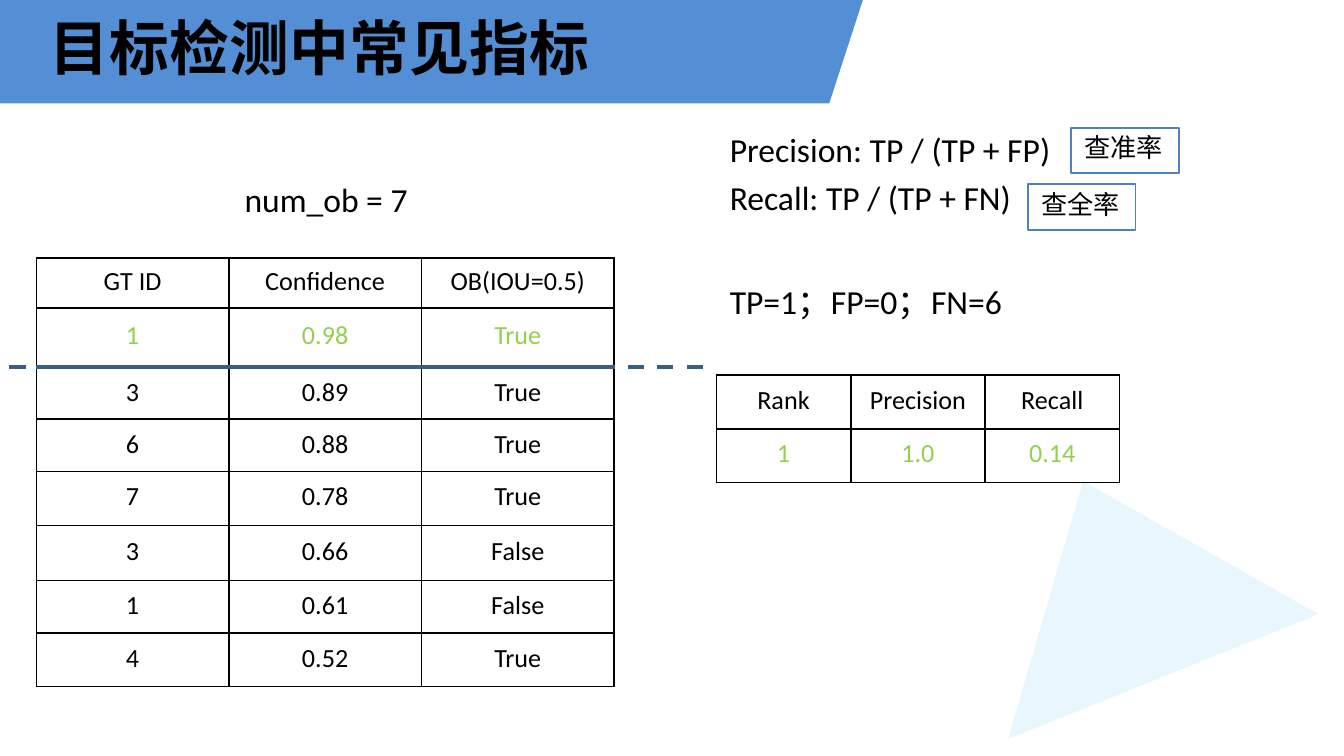
from dataclasses import dataclass
from typing import Any

import lxml.etree
import pptx
import pptx.dml.color
import pptx.enum.shapes
import pptx.enum.text
import pptx.oxml
import pptx.oxml.ns
import pptx.util

Inches = pptx.util.Inches
Pt = pptx.util.Pt
qn = pptx.oxml.ns.qn


@dataclass(frozen=True)
class Theme:
    banner: str = "548ED4"
    triangle: str = "00AFEF"
    frame: str = "4F81BC"
    cutoff: str = "385D89"
    ink: str = "000000"
    highlight: str = "92D050"
    latin: str = "Calibri"
    chinese: str = "Noto Sans CJK SC"
    heading: str = "Noto Sans CJK TC"
    heading_size: float = 32
    body_size: float = 18
    small_size: float = 14
    thin: float = 1
    thick: float = 2.25


THEME = Theme()


@dataclass(frozen=True)
class Run:
    text: str
    font: str = THEME.latin
    size: float = THEME.body_size
    color: str = THEME.ink
    bold: bool = False
    spacing: float = 0


@dataclass(frozen=True)
class Label:
    left: float
    top: float
    width: float
    height: float
    runs: tuple[Run, ...]


@dataclass(frozen=True)
class Grid:
    """A table whose row 1 is highlighted; top_margins holds one inset per row."""
    left: float
    top: float
    width: float
    row_heights: tuple[float, ...]
    top_margins: tuple[float, ...]
    rows: tuple[tuple[str, ...], ...]
    cutoff_after: int | None = None


def rgb(color: str) -> pptx.dml.color.RGBColor:
    return pptx.dml.color.RGBColor.from_string(color)


def set_values(target: Any, values: dict[str, Any]) -> None:
    for name, value in values.items():
        setattr(target, name, value)


def write_runs(paragraph: Any, runs: tuple[Run, ...]) -> None:
    for part in runs:
        run = paragraph.add_run()
        run.text = part.text
        set_values(run.font, {"name": part.font, "size": Pt(part.size), "bold": part.bold})
        run.font.color.rgb = rgb(part.color)
        properties = run.font._element
        lxml.etree.SubElement(properties, qn("a:ea")).set("typeface", part.font)
        if part.spacing:
            properties.set("spc", str(round(part.spacing * 100)))


def fill_label(shape: Any, label: Label) -> None:
    set_values(shape, {name: Inches(getattr(label, name))
                       for name in ("left", "top", "width", "height")})
    set_values(shape.text_frame, {
        "margin_left": Inches(0.01), "margin_top": Inches(0.01),
        "margin_right": 0, "margin_bottom": 0,
        "word_wrap": True, "auto_size": pptx.enum.text.MSO_AUTO_SIZE.NONE,
        "vertical_anchor": pptx.enum.text.MSO_ANCHOR.TOP})
    paragraph = shape.text_frame.paragraphs[0]
    set_values(paragraph, {"alignment": pptx.enum.text.PP_ALIGN.LEFT,
                           "space_before": Pt(1), "line_spacing": 1.0})
    write_runs(paragraph, label.runs)


def add_label(slide: Any, label: Label) -> None:
    fill_label(slide.shapes.add_textbox(0, 0, 0, 0), label)


def add_polygon(slide: Any, points: list[tuple[float, float]], color: str) -> Any:
    start, *others = [(Inches(x), Inches(y)) for x, y in points]
    builder = slide.shapes.build_freeform(*start)
    builder.add_line_segments(others, close=True)
    polygon = builder.convert_to_shape()
    polygon.shadow.inherit = False
    polygon.fill.solid()
    polygon.fill.fore_color.rgb = rgb(color)
    polygon.line.fill.background()
    return polygon


def add_framed_term(slide: Any, left: float, top: float, term: str) -> None:
    frame = slide.shapes.add_shape(pptx.enum.shapes.MSO_SHAPE.RECTANGLE,
                                   Inches(left), Inches(top), Inches(0.8), Inches(0.34))
    frame.shadow.inherit = False
    frame.fill.background()
    frame.line.color.rgb = rgb(THEME.frame)
    frame.line.width = Pt(THEME.thin)
    add_label(slide, Label(left + 0.09, top + 0.02, 0.61, 0.26,
                           (Run(term, THEME.chinese, THEME.small_size),)))


def add_dash(slide: Any, left: float, y: float) -> None:
    dash = slide.shapes.add_connector(pptx.enum.shapes.MSO_CONNECTOR.STRAIGHT, Inches(left),
                                      Inches(y), Inches(left + 0.12), Inches(y))
    dash.line.color.rgb = rgb(THEME.cutoff)
    dash.line.width = Pt(THEME.thick)
    lxml.etree.SubElement(dash.element.spPr, qn("a:effectLst"))


def border_cell(cell: Any, thick_edges: set[str]) -> None:
    """Draw four edges; they must precede the fill in the cell properties."""
    properties = cell._tc.get_or_add_tcPr()
    for position, edge in enumerate("LRTB"):
        color, width = ((THEME.cutoff, THEME.thick) if edge in thick_edges
                        else (THEME.ink, THEME.thin))
        line = lxml.etree.Element(qn(f"a:ln{edge}"), w=str(Pt(width)))
        solid = lxml.etree.SubElement(line, qn("a:solidFill"))
        lxml.etree.SubElement(solid, qn("a:srgbClr")).set("val", color)
        properties.insert(position, line)


def add_grid(slide: Any, grid: Grid) -> None:
    columns = len(grid.rows[0])
    table = slide.shapes.add_table(
        len(grid.rows), columns, Inches(grid.left), Inches(grid.top),
        Inches(grid.width), Inches(sum(grid.row_heights))).table
    set_values(table, {"first_row": False, "horz_banding": False})
    for r, values in enumerate(grid.rows):
        table.rows[r].height = Inches(grid.row_heights[r])
        thick_edges = set()
        if grid.cutoff_after is not None:
            thick_edges = {grid.cutoff_after: {"B"}, grid.cutoff_after + 1: {"T"}}.get(r, set())
        for c, value in enumerate(values):
            cell = table.cell(r, c)
            set_values(cell, {"margin_left": 0, "margin_right": 0, "margin_bottom": 0,
                              "margin_top": Inches(grid.top_margins[r])})
            cell.fill.background()
            border_cell(cell, thick_edges)
            paragraph = cell.text_frame.paragraphs[0]
            paragraph.alignment = pptx.enum.text.PP_ALIGN.CENTER
            color = THEME.highlight if r == 1 else THEME.ink
            write_runs(paragraph, (Run(value, size=THEME.small_size, color=color),))


def main() -> None:
    presentation = pptx.Presentation()
    width = Inches(10)
    set_values(presentation, {"slide_width": width, "slide_height": width * 9 // 16})
    slide = presentation.slides.add_slide(presentation.slide_layouts[5])

    banner = add_polygon(slide, [(0, 0), (6.42, 0), (6.17, 0.77), (0, 0.77)], THEME.banner)
    title = slide.shapes.title
    title.element.addprevious(banner.element)
    fill_label(title, Label(0.36, 0.07, 4.05, 0.56, (
        Run("目标检测中常见指标", THEME.heading, THEME.heading_size, bold=True, spacing=0.1),)))

    triangle = add_polygon(slide, [(7.5, 5.5), (8.06, 3.58), (9.81, 4.57)], THEME.triangle)
    tint = triangle.element.spPr.find(".//" + qn("a:srgbClr"))
    lxml.etree.SubElement(tint, qn("a:alpha")).set("val", "9000")

    add_grid(slide, Grid(
        0.27, 1.92, 4.3, (0.37, 0.44, 0.39, 0.39, 0.4, 0.41, 0.39, 0.4),
        (0.06, 0.09, 0.07, 0.07, 0.07, 0.08, 0.07, 0.07),
        (("GT ID", "Confidence", "OB(IOU=0.5)"),
         ("1", "0.98", "True"), ("3", "0.89", "True"), ("6", "0.88", "True"),
         ("7", "0.78", "True"), ("3", "0.66", "False"), ("1", "0.61", "False"),
         ("4", "0.52", "True")), cutoff_after=1))
    add_grid(slide, Grid(5.33, 2.79, 3, (0.4, 0.4), (0.07, 0.07),
                         (("Rank", "Precision", "Recall"), ("1", "1.0", "0.14"))))

    separator = Run("；", THEME.chinese)
    for label in (
        Label(5.42, 0.95, 2.41, 0.33, (Run("Precision: TP / (TP + FP)"),)),
        Label(5.42, 1.31, 2.12, 0.33, (Run("Recall: TP / (TP + FN)"),)),
        Label(1.81, 1.32, 1.24, 0.33, (Run("num_ob = 7"),)),
        Label(5.42, 2.08, 2.05, 0.33,
              (Run("TP=1"), separator, Run("FP=0"), separator, Run("FN=6"))),
    ):
        add_label(slide, label)

    add_framed_term(slide, 7.97, 0.95, "查准率")
    add_framed_term(slide, 7.65, 1.37, "查全率")

    for left in (0.07, *(4.67 + 0.22 * step for step in range(3))):
        add_dash(slide, left, 2.73)

    presentation.save("out.pptx")


if __name__ == "__main__":
    main()
